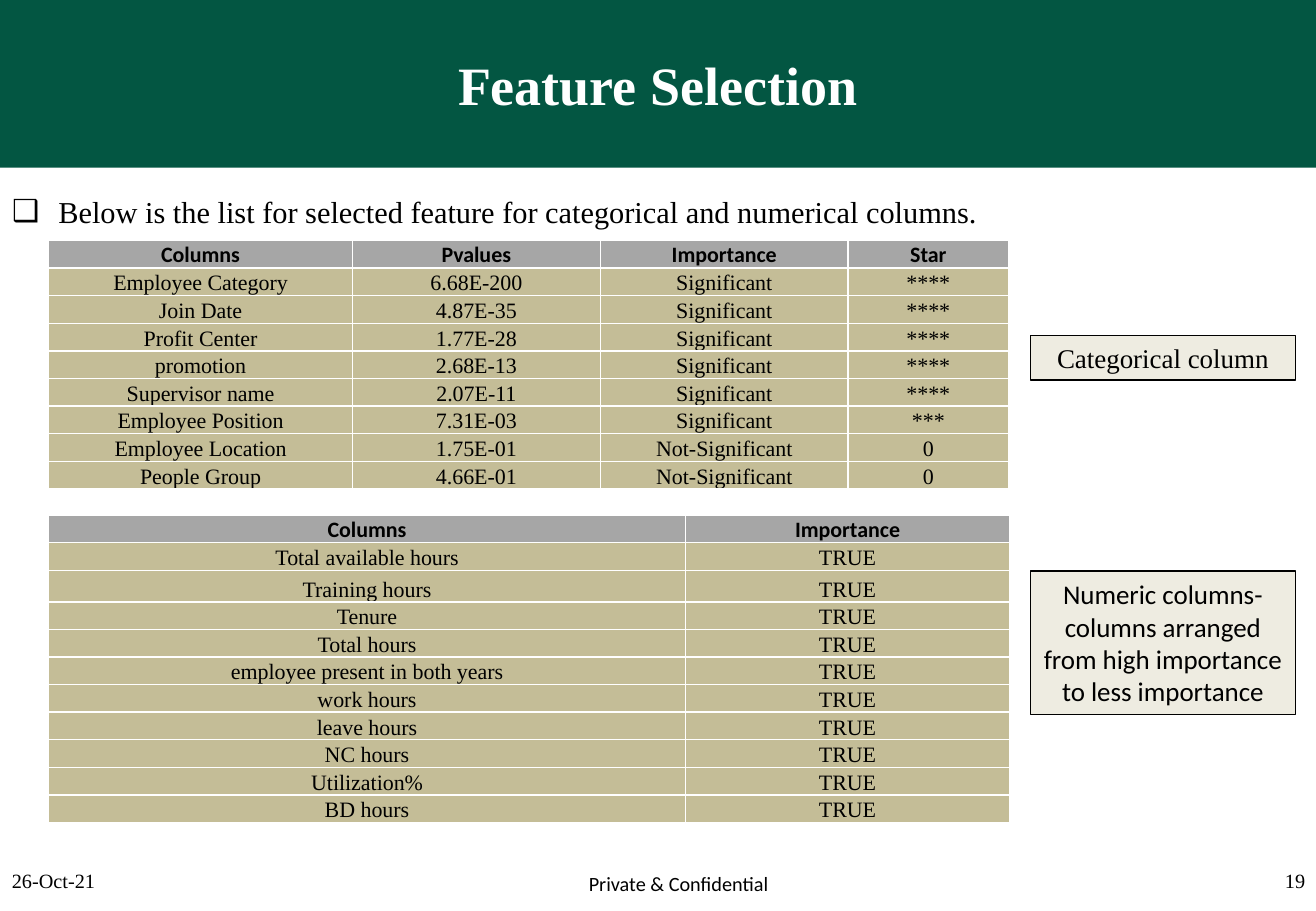
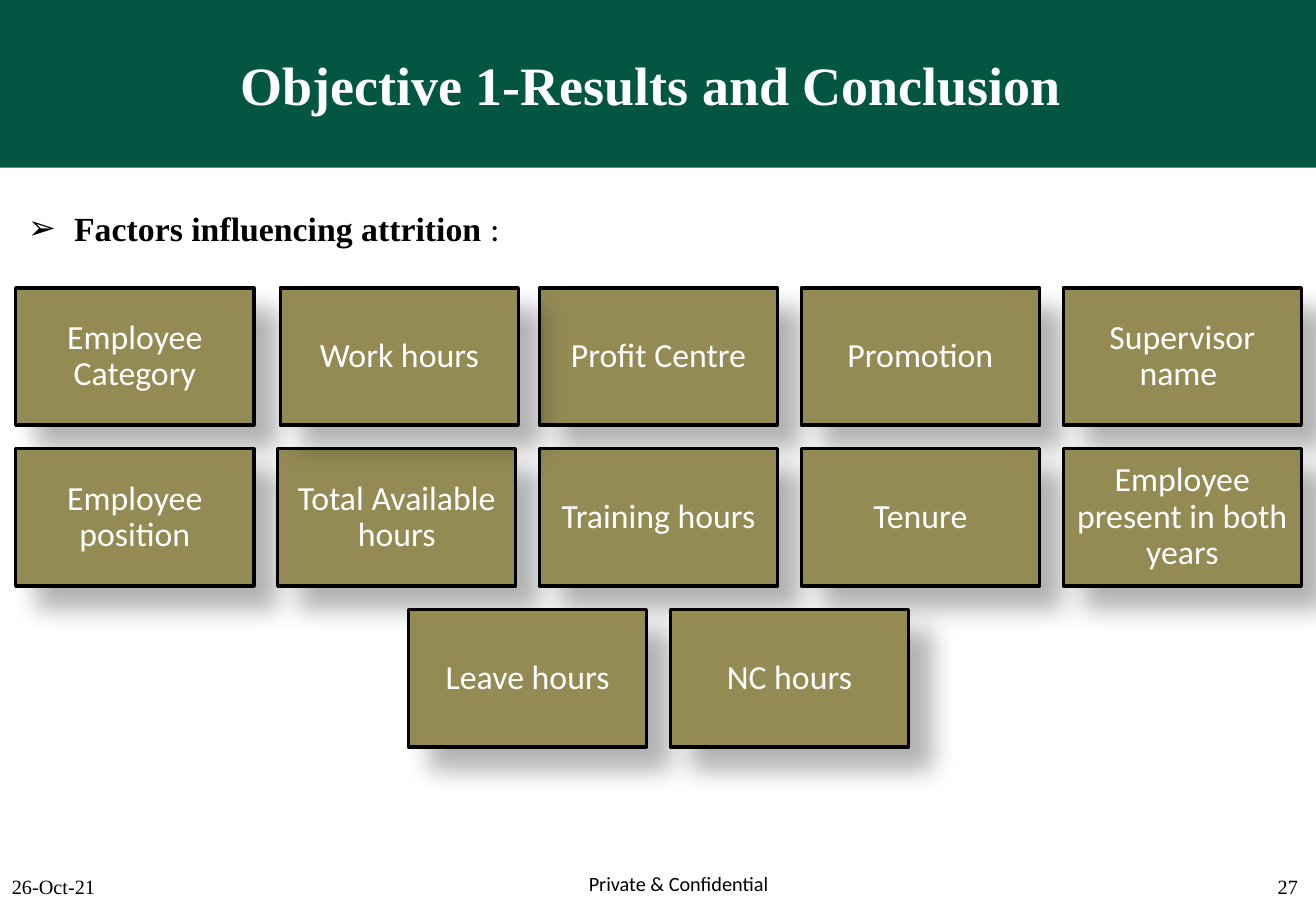
"""Build two slides on feature selection and the factors behind attrition."""
import pptx
import pptx.dml.color
import pptx.enum.shapes
import pptx.enum.text
import pptx.oxml
import pptx.util

Inches = pptx.util.Inches
Pt = pptx.util.Pt
ALIGN = pptx.enum.text.PP_ALIGN
ANCHOR = pptx.enum.text.MSO_ANCHOR
RECT = pptx.enum.shapes.MSO_SHAPE.RECTANGLE
NS = 'xmlns:a="http://schemas.openxmlformats.org/drawingml/2006/main"'
SERIF, SANS = "Times New Roman", "Calibri"
HUES = {
    "green": "035642", "white": "FFFFFF", "black": "000000", "grey": "A6A6A6",
    "sand": "C4BD97", "cream": "EEECE1", "olive": "948A54",
}
WIDE = 10.83


def paint(part, hue):
    """Give a fill, line or font one solid colour."""
    if hasattr(part, "solid"):
        part.solid()
        part = part.fore_color
    else:
        part = part.color
    part.rgb = pptx.dml.color.RGBColor.from_string(HUES[hue])


def style(para, size, face, hue="black", bold=False, align=ALIGN.CENTER):
    """Set the font and alignment of a paragraph."""
    para.alignment = align
    para.font.size = Pt(size)
    para.font.name = face
    para.font.bold = bold
    paint(para.font, hue)


deck = pptx.Presentation()
deck.slide_width, deck.slide_height = Inches(WIDE), Inches(7.5)

pages = [
    {"title": "Feature Selection", "mark": "❑", "size": 18, "bold": False,
     "runs": ["Below is the list for selected feature for categorical and numerical columns."],
     "body": (0, 1.54, 10.14, 0.71), "foot": 7.1, "page": "19", "edge": 8.31},
    {"title": "Objective 1-Results and Conclusion ", "mark": "➢", "size": 20, "bold": True,
     "runs": ["Factors influencing attrition ", ":"],
     "body": (0.13, 1.66, 10.05, 0.44), "foot": 7.15, "page": "27", "edge": 8.25},
]
slides = []
for page in pages:
    slide = deck.slides.add_slide(deck.slide_layouts[1])
    slides.append(slide)

    title = slide.shapes.title
    title.left, title.top, title.width, title.height = 0, 0, Inches(WIDE), Inches(1.38)
    paint(title.fill, "green")
    title.text_frame.text = page["title"]
    title.text_frame.vertical_anchor = ANCHOR.MIDDLE
    style(title.text_frame.paragraphs[0], 32, SERIF, "white", True)

    body = slide.placeholders[1]
    body.left, body.top, body.width, body.height = map(Inches, page["body"])
    body.text_frame.auto_size = pptx.enum.text.MSO_AUTO_SIZE.NONE
    para = body.text_frame.paragraphs[0]
    props = para._p.get_or_add_pPr()
    props.set("marL", str(Inches(0.38)))
    props.set("indent", str(Inches(-0.38)))
    props.append(pptx.oxml.parse_xml(f'<a:buChar {NS} char="{page["mark"]}"/>'))
    para.space_before = Pt(0)
    style(para, page["size"], SERIF, align=ALIGN.LEFT)
    for text in page["runs"]:
        run = para.add_run()
        run.text = text
        run.font.bold = page["bold"] and text != ":"
        if text == ":":
            run.font.name = SANS

    notes = [
        ("26-Oct-21", 0, page["foot"], 2.53, SERIF, ALIGN.LEFT),
        ("Private & Confidential", 3.87, 7.12, 3.43, SANS, ALIGN.CENTER),
        (page["page"], page["edge"], page["foot"], 2.53, SERIF, ALIGN.RIGHT),
    ]
    for text, left, top, width, face, align in notes:
        box = slide.shapes.add_textbox(Inches(left), Inches(top), Inches(width), Inches(0.35))
        box.text_frame.word_wrap = True
        box.text_frame.text = text
        style(box.text_frame.paragraphs[0], 12, face, align=align)

first, last = slides

ranks = [
    ("Columns", "Pvalues", "Importance", "Star"),
    ("Employee Category", "6.68E-200", "Significant", "****"),
    ("Join Date", "4.87E-35", "Significant", "****"),
    ("Profit Center", "1.77E-28", "Significant", "****"),
    ("promotion", "2.68E-13", "Significant", "****"),
    ("Supervisor name", "2.07E-11", "Significant", "****"),
    ("Employee Position", "7.31E-03", "Significant", "***"),
    ("Employee Location", "1.75E-01", "Not-Significant", "0"),
    ("People Group", "4.66E-01", "Not-Significant", "0"),
]
hours = [
    "Total available hours", "Training hours", "Tenure", "Total hours",
    "employee present in both years", "work hours", "leave hours", "NC hours",
    "Utilization%", "BD hours",
]
flags = [("Columns", "Importance")] + [(name, "TRUE") for name in hours]
grids = [
    (ranks, 1.98, [2.5, 2.04, 2.04, 1.32], [2.03 / 9] * 9),
    (flags, 4.24, [5.24, 2.67], [0.225] * 2 + [0.26] + [0.225] * 8),
]
for rows, top, widths, heights in grids:
    table = first.shapes.add_table(
        len(rows), len(widths), Inches(0.4), Inches(top),
        Inches(sum(widths)), Inches(sum(heights))).table
    table.horz_banding = False
    for col, width in zip(table.columns, widths):
        col.width = Inches(width)
    for r, row in enumerate(rows):
        table.rows[r].height = Inches(heights[r])
        for c, text in enumerate(row):
            cell = table.cell(r, c)
            cell.text = text
            cell.vertical_anchor = ANCHOR.BOTTOM
            cell.margin_left = cell.margin_right = cell.margin_top = Inches(0.01)
            cell.margin_bottom = 0
            paint(cell.fill, "sand" if r else "grey")
            style(cell.text_frame.paragraphs[0], 13, SERIF if r else SANS, bold=r == 0)
            for i, side in enumerate("LRTB"):
                cell._tc.get_or_add_tcPr().insert(i, pptx.oxml.parse_xml(
                    f'<a:ln{side} {NS} w="12700"><a:solidFill>'
                    f'<a:srgbClr val="{HUES["white"]}"/></a:solidFill></a:ln{side}>'))

labels = [
    ("Categorical column", 2.76, 0.37, SERIF),
    ("Numeric columns-columns arranged from high importance to less importance",
     4.7, 1.18, SANS),
]
for text, top, height, face in labels:
    label = first.shapes.add_shape(RECT, Inches(8.48), Inches(top), Inches(2.18), Inches(height))
    label.shadow.inherit = False
    paint(label.fill, "cream")
    paint(label.line, "black")
    label.line.width = Pt(0.75)
    label.text_frame.text = text
    style(label.text_frame.paragraphs[0], 16, face)

cards = [
    ("Employee Category", 0, 0), ("Profit Centre", 2, 0), ("Promotion", 3, 0),
    ("Supervisor name ", 4, 0), ("Employee position", 0, 1),
    ("Total Available hours", 1, 1), ("Training hours", 2, 1), ("Tenure", 3, 1),
    ("Employee present in both years", 4, 1), ("Work hours", 1.01, 0),
    ("Leave hours", 1.5, 2), ("NC hours", 2.5, 2),
]
stepx, stepy = (8.75 - 0.13) / 4, (5.02 - 2.37) / 2
for text, col, row in cards:
    card = last.shapes.add_shape(
        RECT, Inches(0.13 + col * stepx), Inches(2.37 + row * stepy), Inches(1.96), Inches(1.13))
    paint(card.fill, "olive")
    paint(card.line, "black")
    card.line.width = Pt(2)
    card.shadow.inherit = False
    card._element.spPr.find(pptx.oxml.ns.qn("a:effectLst")).append(pptx.oxml.parse_xml(
        f'<a:outerShdw {NS} blurRad="{Pt(15)}" dist="{Pt(18)}" dir="2700000" rotWithShape="0">'
        f'<a:srgbClr val="{HUES["black"]}"><a:alpha val="30000"/></a:srgbClr></a:outerShdw>'))
    frame = card.text_frame
    frame.margin_left = frame.margin_right = Inches(0.08)
    frame.margin_top = frame.margin_bottom = Inches(0.08)
    frame.text = text
    frame.paragraphs[0].line_spacing = 0.9
    style(frame.paragraphs[0], 20, SANS, "white")

deck.save("out.pptx")
